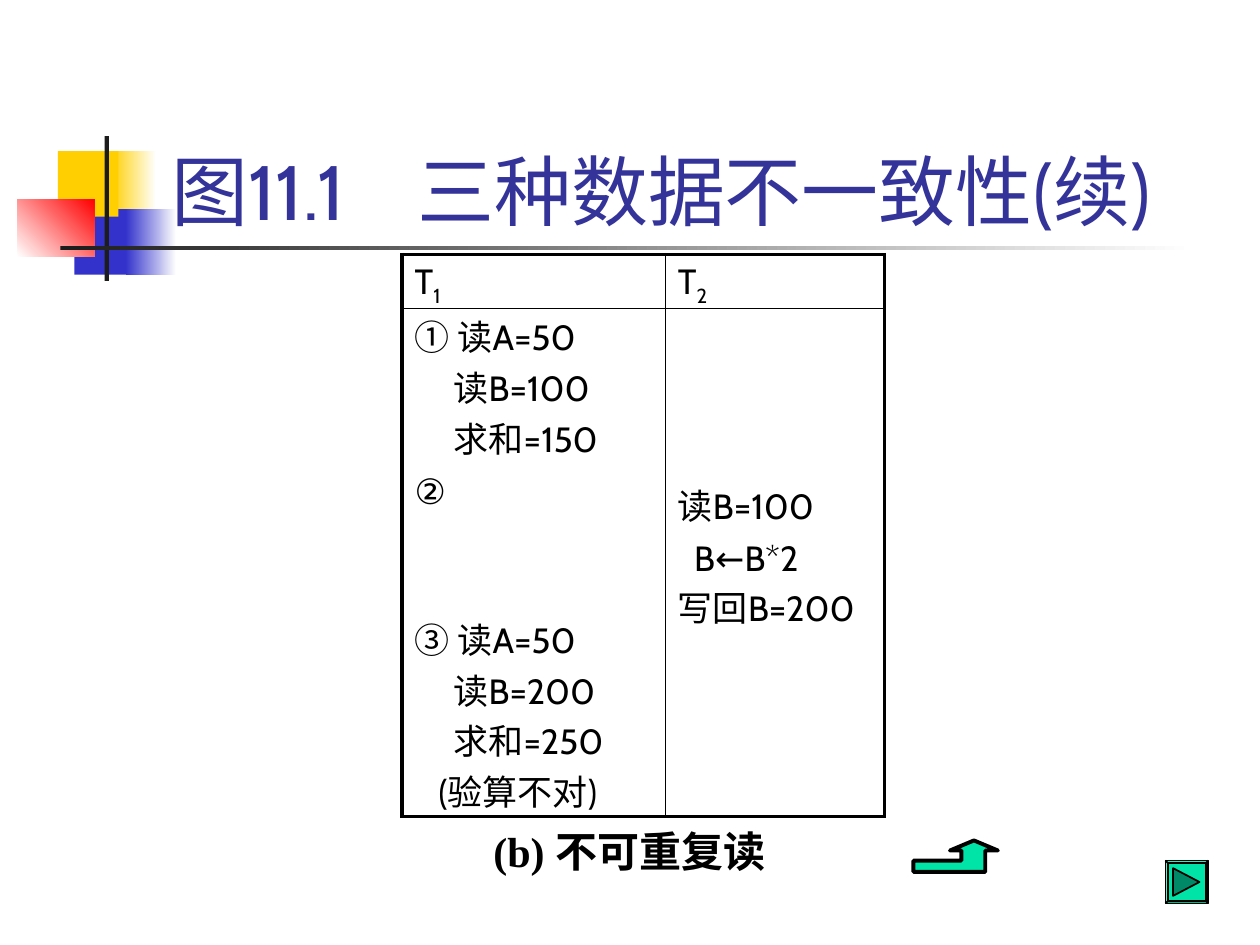
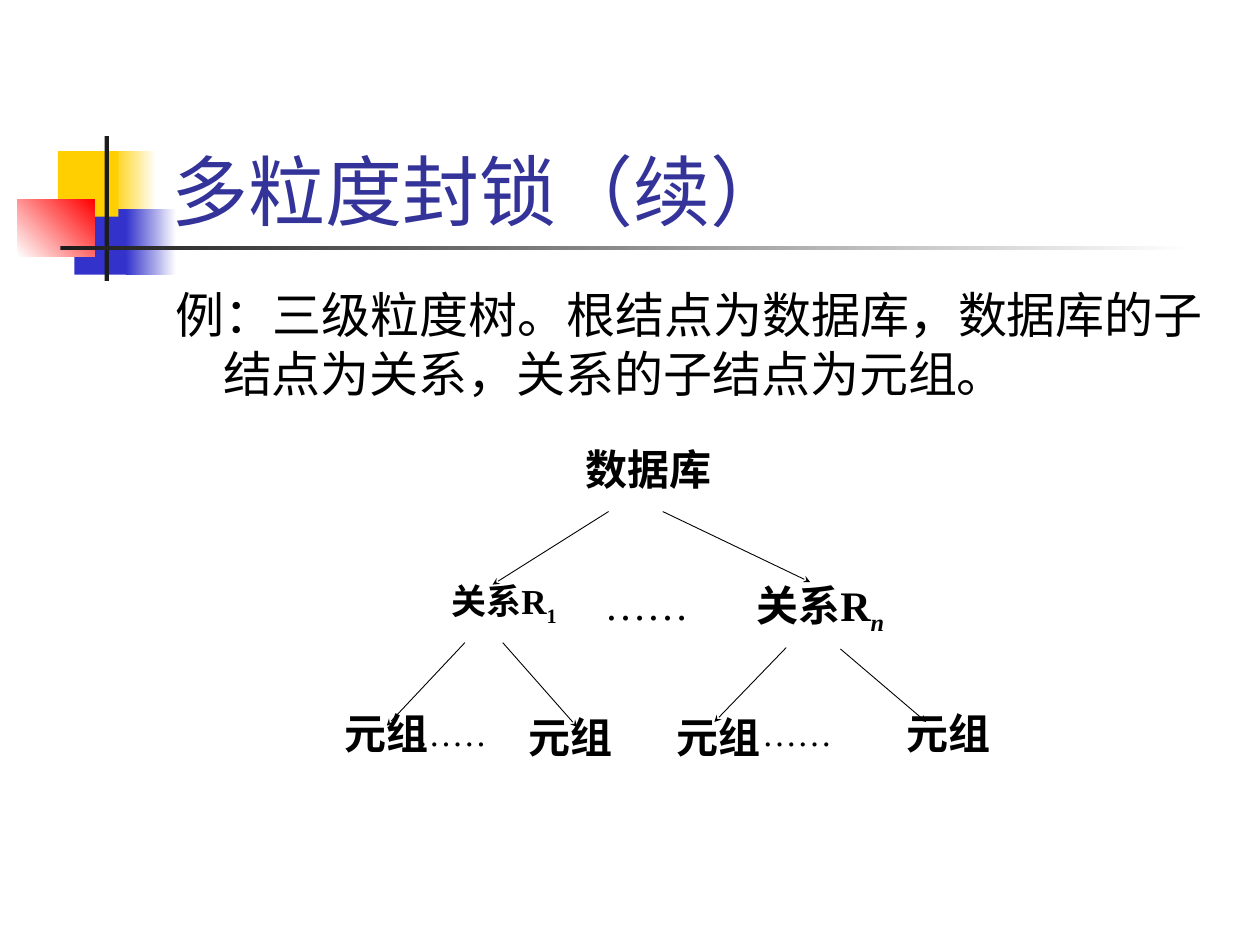
import pptx
import pptx.dml.color
import pptx.enum.shapes
import pptx.enum.text
import pptx.oxml
import pptx.oxml.ns
import pptx.util

SHAPES = pptx.enum.shapes.MSO_SHAPE
ALIGN = pptx.enum.text.PP_ALIGN
ANCHOR = pptx.enum.text.MSO_ANCHOR
SANS, SERIF = "Cabin", "Times New Roman"
BLACK, WHITE, CHARCOAL = "000000", "FFFFFF", "1C1C1C"
NAVY, BLUE, YELLOW, RED = "333399", "3333CC", "FFCF01", "FF0000"
GREEN, DARK_GREEN = "00E4A8", "008966"


def rgb(value):
    return pptx.dml.color.RGBColor.from_string(value)


def cells(count):
    """Length of a number of grid cells; the slide is 100 columns by 75 rows."""
    return pptx.util.Inches(count / 10)


def element(tag, **attributes):
    node = pptx.oxml.parse_xml(f"<a:{tag} {pptx.oxml.ns.nsdecls('a')}/>")
    for name, value in attributes.items():
        node.set(name, str(value))
    return node


def write(paragraph, text, size=20, font=SANS, color=BLACK, bold=False,
          italic=False, subscript=False):
    run = paragraph.add_run()
    run.text = text
    run.font.size = pptx.util.Pt(size)
    run.font.name = font
    run.font.color.rgb = rgb(color)
    run.font.bold = bold
    run.font.italic = italic
    if subscript:
        run._r.get_or_add_rPr().set("baseline", "-25000")


def indent(paragraph, left, first=0):
    properties = paragraph._p.get_or_add_pPr()
    properties.set("marL", str(cells(left)))
    properties.set("indent", str(cells(first)))
    return properties


class Deck:
    """Holds the presentation, its shared style and the current slide."""

    def __init__(self):
        self.presentation = pptx.Presentation()
        self.presentation.slide_width = cells(100)
        self.presentation.slide_height = cells(75)
        self.slide = None
        self.decorated = False

    def add_slide(self, layout_name, title, tab=None):
        layout = self.presentation.slide_layouts.get_by_name(layout_name)
        self.slide = self.presentation.slides.add_slide(layout)
        if not self.decorated:
            self.decorate_master()
        frame = self.slide.shapes.title.text_frame
        frame.auto_size = pptx.enum.text.MSO_AUTO_SIZE.NONE
        frame.vertical_anchor = ANCHOR.BOTTOM
        paragraph = frame.paragraphs[0]
        paragraph.alignment = ALIGN.LEFT
        if tab:
            stops = element("tabLst")
            stops.append(element("tab", pos=cells(tab), algn="l"))
            paragraph._p.get_or_add_pPr().append(stops)
        write(paragraph, title, size=44, color=NAVY)

    def decorate_master(self):
        """Place the title and the coloured squares once, on the slide master."""
        master = self.presentation.slide_master
        self.place(master.placeholders[0], 12.6, 6.7, 85.2, 12.5)
        squares = [
            (8.8, 12, 3.6, 5.2, (YELLOW, WHITE), 0),
            (5.9, 16.6, 4.6, 5.2, (BLUE,), 0),
            (4.6, 12, 4.8, 5.2, (YELLOW,), 0),
            (10, 16.6, 4, 5.2, (BLUE, WHITE), 0),
            (1.4, 15.8, 6.1, 4.6, (WHITE, RED), 45),
            (8.3, 10.8, 0.35, 11.5, (CHARCOAL,), 0),
            (4.8, 19.5, 90, 0.35, (CHARCOAL, WHITE), 0),
        ]
        for number, (*box, colors, angle) in enumerate(squares, start=100):
            square = self.shape(SHAPES.RECTANGLE, box, colors, angle=angle)
            square._element.nvSpPr.cNvPr.set("id", str(number))
            master.shapes._spTree.append(square._element)
        self.decorated = True

    def place(self, shape, left, top, width, height):
        shape.left, shape.top = cells(left), cells(top)
        shape.width, shape.height = cells(width), cells(height)

    def paint(self, shape, colors, line=0, angle=0):
        shape.shadow.inherit = False
        if len(colors) == 1:
            shape.fill.solid()
            shape.fill.fore_color.rgb = rgb(colors[0])
        else:
            shape.fill.gradient()
            shape.fill.gradient_angle = angle
            for stop, color in zip(shape.fill.gradient_stops, colors):
                stop.color.rgb = rgb(color)
        if line:
            shape.line.color.rgb = rgb(BLACK)
            shape.line.width = pptx.util.Pt(line)
        else:
            shape.line.fill.background()
        return shape

    def shape(self, kind, box, colors, line=0, angle=0):
        shape = self.slide.shapes.add_shape(kind, *map(cells, box))
        return self.paint(shape, colors, line, angle)

    def outline(self, points, color, line):
        start, *others = [(cells(x), cells(y)) for x, y in points]
        builder = self.slide.shapes.build_freeform(*start)
        builder.add_line_segments(others, close=True)
        return self.paint(builder.convert_to_shape(), (color,), line)

    def label(self, box, text, subscript="", align=ALIGN.CENTER, spacing=0.96,
              wrap=True, anchor=ANCHOR.TOP, italic=False, **style):
        frame = self.slide.shapes.add_textbox(*map(cells, box)).text_frame
        frame.word_wrap = wrap
        frame.vertical_anchor = anchor
        paragraph = frame.paragraphs[0]
        paragraph.alignment = align
        paragraph.line_spacing = spacing
        style = {"size": 24, "font": SERIF, "bold": True} | style
        write(paragraph, text, **style)
        if subscript:
            write(paragraph, subscript, subscript=True, italic=italic, **style)

    def body(self, text):
        placeholder = self.slide.placeholders[1]
        self.place(placeholder, 12.9, 22.1, 85, 45)
        placeholder.text_frame.auto_size = pptx.enum.text.MSO_AUTO_SIZE.NONE
        paragraph = placeholder.text_frame.paragraphs[0]
        indent(paragraph, 3.8, -3.8).append(element("buNone"))
        paragraph.space_before = pptx.util.Pt(0)
        write(paragraph, text, size=28)

    def arrow(self, *ends):
        connector = self.slide.shapes.add_connector(
            pptx.enum.shapes.MSO_CONNECTOR.STRAIGHT, *map(cells, ends))
        connector.line.color.rgb = rgb(BLACK)
        connector.line.width = pptx.util.Pt(0.5)
        head = element("tailEnd", type="stealth", w="sm", len="sm")
        connector.line._get_or_add_ln().append(head)
        connector._element.spPr.append(element("effectLst"))

    def table(self, left, top, widths, heights):
        """Add a plain table with a thick frame and thin inner lines."""
        table = self.slide.shapes.add_table(
            len(heights), len(widths), cells(left), cells(top),
            cells(sum(widths)), cells(sum(heights))).table
        table.first_row = table.horz_banding = False
        for column, width in zip(table.columns, widths):
            column.width = cells(width)
        for row, height in zip(table.rows, heights):
            row.height = cells(height)
        last_row, last_column = len(heights) - 1, len(widths) - 1
        for r in range(len(heights)):
            for c in range(len(widths)):
                cell = table.cell(r, c)
                cell.fill.background()
                cell.margin_bottom = 0
                outer = {"lnL": c == 0, "lnR": c == last_column,
                         "lnT": r == 0, "lnB": r == last_row}
                for index, (side, thick) in enumerate(outer.items()):
                    self.border(cell, index, side, 2.25 if thick else 1)
        return table

    def border(self, cell, index, side, width):
        line = element(side, w=pptx.util.Pt(width))
        fill = element("solidFill")
        fill.append(element("srgbClr", val=BLACK))
        line.append(fill)
        cell._tc.get_or_add_tcPr().insert(index, line)

    def steps(self, cell, top, steps):
        """Fill a cell, from a top margin, with (text, indent, space before)."""
        cell.margin_top = cells(top)
        frame = cell.text_frame
        for number, (text, left, before) in enumerate(steps):
            paragraph = frame.add_paragraph() if number else frame.paragraphs[0]
            indent(paragraph, left)
            paragraph.line_spacing = pptx.util.Pt(24)
            paragraph.space_before = pptx.util.Pt(before)
            write(paragraph, text)


def add_unrepeatable_read(deck):
    deck.add_slide("Title Only", "图11.1\t三种数据不一致性(续)", tab=19.5)
    schedule = deck.table(31.9, 20.2, (20.9, 17.4), (4.3, 40.3))
    for column, number in enumerate("12"):
        paragraph = schedule.cell(0, column).text_frame.paragraphs[0]
        write(paragraph, "T")
        write(paragraph, number, subscript=True)
    deck.steps(schedule.cell(1, 0), 0.8, [
        ("① 读A=50", 0, 0), ("读B=100", 3.1, 5), ("求和=150", 3.1, 5),
        ("②", 0, 5),
        ("③ 读A=50", 0, 62), ("读B=200", 3.1, 5), ("求和=250", 3.1, 5),
        ("(验算不对)", 1.9, 5)])
    deck.steps(schedule.cell(1, 1), 14.2, [
        ("读B=100", 0, 0), ("B←B*2", 1.3, 5), ("写回B=200", 0, 5)])
    deck.label((35.8, 64.2, 28.3, 6.7), "(b) 不可重复读", spacing=1,
               wrap=False, anchor=ANCHOR.MIDDLE)
    deck.outline([(77.3, 66.7), (75.4, 67.5), (76.3, 67.5), (76.3, 68.3),
                  (72.5, 68.3), (72.5, 69.2), (78.2, 69.2), (78.2, 67.5),
                  (79.2, 67.5)], GREEN, 2.25)
    button = deck.shape(SHAPES.BEVEL, (92.5, 68.3, 3.4, 3.4), (GREEN,), line=1)
    button.adjustments[0] = 0.06
    deck.outline([(93.1, 68.9), (95.2, 70), (93.1, 71.1)], DARK_GREEN, 1)


def add_granularity_tree(deck):
    deck.add_slide("Title and Content", "多粒度封锁（续）")
    deck.body("例：三级粒度树。根结点为数据库，数据库的子结点为关系，关系的子结点为元组。")
    for ends in [(48.3, 40.6, 39.1, 46.4), (52.6, 40.6, 64.3, 46.2),
                 (36.9, 51, 30.7, 57.6), (39.9, 51, 45.8, 57.7),
                 (62.4, 51.4, 56.7, 57.3), (66.7, 51.5, 73.5, 57.3)]:
        deck.arrow(*ends)
    deck.label((44.3, 35, 14.4, 6.4), "数据库")
    deck.label((57.8, 45.5, 14.6, 5.7), "关系R", "n", italic=True)
    deck.label((31.6, 45.5, 16.8, 9.1), "关系R", "1", size=20)
    for left, top, width in [(25, 55.9, 11.4), (68.1, 55.9, 14.4),
                             (39.6, 56.2, 11.4), (51.3, 56.2, 11.4)]:
        deck.label((left, top, width, 5.9), "元组")
    for left, top, size in [(47, 45.7, 24), (59.5, 56.2, 20), (32.1, 56.2, 20)]:
        deck.label((left, top, 14.6, 4.8), "……", align=ALIGN.JUSTIFY,
                   size=size, bold=False)


def main():
    deck = Deck()
    add_unrepeatable_read(deck)
    add_granularity_tree(deck)
    deck.presentation.save("out.pptx")


if __name__ == "__main__":
    main()
